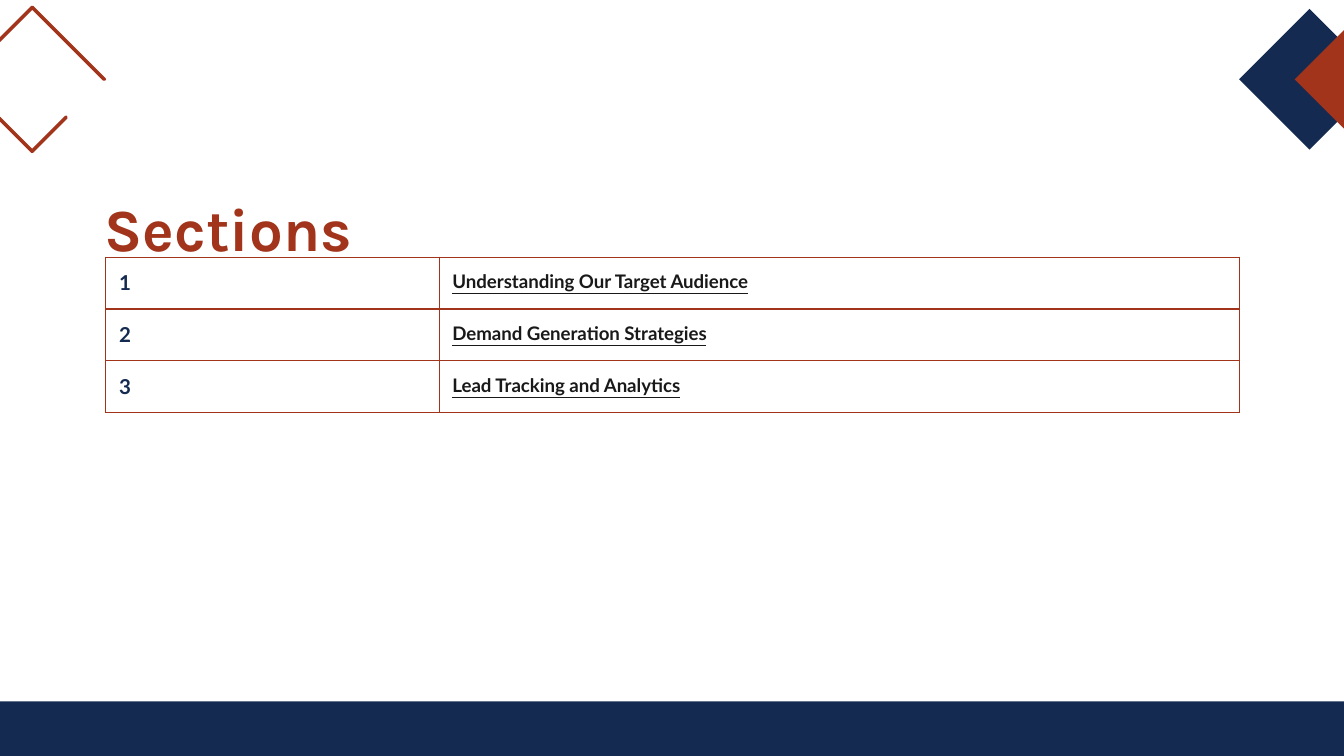
from lxml.etree import SubElement
from pptx import Presentation
from pptx.dml.color import RGBColor
from pptx.enum.shapes import MSO_SHAPE
from pptx.enum.text import MSO_ANCHOR, MSO_AUTO_SIZE, PP_ALIGN
from pptx.oxml.ns import qn
from pptx.util import Cm, Pt

COLORS = {"navy": "152A51", "rust": "A1341A", "ink": "191919", "white": "FFFFFF"}
TITLE = {"name": "Karla", "size": Pt(32), "bold": True}
NUMBER = {"name": "Lato", "size": Pt(11), "bold": True}
TOPIC = {"name": "Lato", "size": Pt(10), "bold": True, "underline": True}
INSETS = {f"margin_{side}": Cm(0.25) for side in ("left", "right", "top", "bottom")}
TOPICS = [
    "Understanding Our Target Audience",
    "Demand Generation Strategies",
    "Lead Tracking and Analytics",
]


def apply(target, values):
    for name, value in values.items():
        setattr(target, name, value)


def rgb(color):
    return RGBColor.from_string(COLORS[color])


class Deck:
    def __init__(self, width, height):
        self.prs = Presentation()
        apply(self.prs, {"slide_width": Cm(width), "slide_height": Cm(height)})
        self.s = self.prs.slides.add_slide(self.prs.slide_layouts[5])
        self.s.background.fill.solid()
        self.s.background.fill.fore_color.rgb = rgb("white")

    def paint(self, sp, color):
        sp.shadow.inherit = False
        sp.fill.solid()
        sp.fill.fore_color.rgb = rgb(color)
        sp.line.fill.background()

    def shape(self, kind, x, y, w, h, color):
        sp = self.s.shapes.add_shape(kind, Cm(x), Cm(y), Cm(w), Cm(h))
        self.paint(sp, color)

    def diamond(self, cx, cy, half, color):
        self.shape(MSO_SHAPE.DIAMOND, cx - half, cy - half, 2 * half, 2 * half, color)

    def outline(self, points, color, width):
        start, *rest = [(Cm(x), Cm(y)) for x, y in points]
        builder = self.s.shapes.build_freeform(*start)
        builder.add_line_segments(rest, close=True)
        sp = builder.convert_to_shape()
        self.paint(sp, color)
        sp.line.color.rgb = rgb(color)
        sp.line.width = Pt(width)
        SubElement(sp.element.spPr.find(qn("a:ln")), qn("a:round"))

    def text(self, tf, text, style, color):
        p = tf.paragraphs[0]
        p.alignment = PP_ALIGN.LEFT
        r = p.add_run()
        r.text = text
        apply(r.font, style)
        r.font.color.rgb = rgb(color)

    def title(self, text, x, y, w, h):
        sp = self.s.shapes.title
        apply(sp, {"left": Cm(x), "top": Cm(y), "width": Cm(w), "height": Cm(h)})
        tf = sp.text_frame
        apply(tf, {
            **INSETS,
            "word_wrap": True,
            "auto_size": MSO_AUTO_SIZE.NONE,
            "vertical_anchor": MSO_ANCHOR.MIDDLE,
        })
        self.text(tf, text, TITLE, "rust")

    def borders(self, cell, color, width):
        tc_pr = cell._tc.get_or_add_tcPr()
        for i, side in enumerate(("lnL", "lnR", "lnT", "lnB")):
            ln = tc_pr.makeelement(qn(f"a:{side}"), {"w": str(Pt(width))})
            fill = SubElement(ln, qn("a:solidFill"))
            SubElement(fill, qn("a:srgbClr"), val=COLORS[color])
            tc_pr.insert(i, ln)

    def table(self, topics, x, y, widths, row_height):
        size = Cm(sum(widths)), Cm(row_height * len(topics))
        frame = self.s.shapes.add_table(len(topics), len(widths), Cm(x), Cm(y), *size)
        table = frame.table
        apply(table, {"first_row": False, "horz_banding": False})
        for column, width in zip(table.columns, widths):
            column.width = Cm(width)
        for i, topic in enumerate(topics):
            table.rows[i].height = Cm(row_height)
            content = [(str(i + 1), NUMBER, "navy"), (topic, TOPIC, "ink")]
            for cell, (text, style, color) in zip(table.rows[i].cells, content):
                apply(cell, {**INSETS, "vertical_anchor": MSO_ANCHOR.TOP})
                cell.fill.background()
                self.borders(cell, "rust", 0.75)
                self.text(cell.text_frame, text, style, color)


def main():
    deck = Deck(25.4, 14.29)
    deck.shape(MSO_SHAPE.RECTANGLE, -0.05, 13.26, 25.5, 1.27, "navy")
    deck.diamond(24.75, 1.5, 1.33, "navy")
    deck.diamond(25.8, 1.5, 1.33, "rust")

    cx, cy, outer, inner, tail = 0.61, 1.5, 1.37, 1.35, 0.64
    deck.outline([
        (cx + outer, cy), (cx, cy - outer), (cx - outer, cy), (cx, cy + outer),
        (cx + tail, cy + outer - tail), (cx + tail, cy + inner - tail),
        (cx, cy + inner), (cx - inner, cy), (cx, cy - inner), (cx + inner, cy),
    ], "rust", 1.5)

    deck.table(TOPICS, 2, 4.86, [6.3, 15.12], 0.98)
    deck.title("Sections", 1.73, 3.28, 23.98, 2.03)
    deck.prs.save("out.pptx")


if __name__ == "__main__":
    main()
